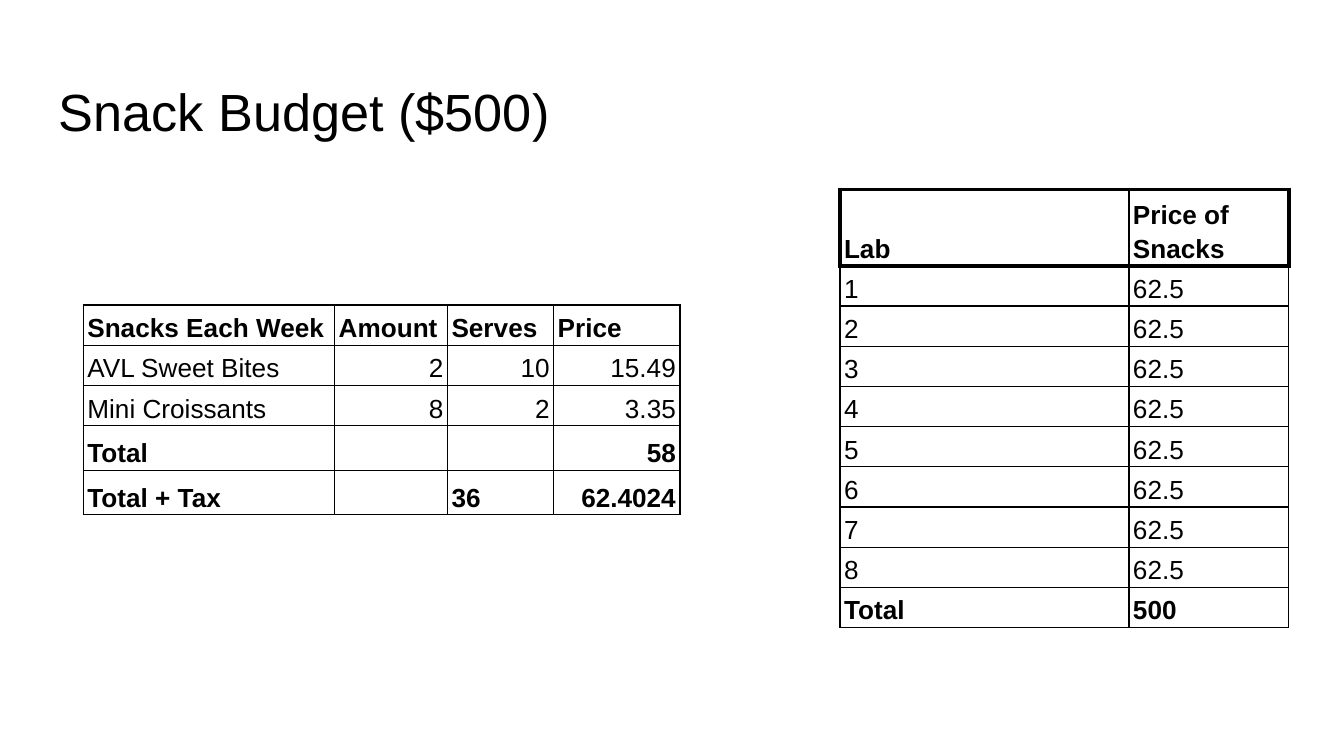
from dataclasses import dataclass

from lxml.etree import SubElement
from pptx import Presentation
from pptx.dml.color import RGBColor
from pptx.enum.text import MSO_ANCHOR, PP_ALIGN
from pptx.oxml.ns import qn
from pptx.util import Inches, Pt

SLIDE_WIDTH = 10
SLIDE_HEIGHT = SLIDE_WIDTH * 9 / 16
INK = "000000"
THIN, THICK = 0.75, 2.25
CELL_FORMAT = {
    "margin_left": Inches(0.03),
    "margin_right": Inches(0.03),
    "margin_top": Inches(1 / 64),
    "margin_bottom": Inches(1 / 64),
    "vertical_anchor": MSO_ANCHOR.BOTTOM,
}


@dataclass
class BudgetTable:
    left: float
    top: float
    column_widths: list[float]
    row_heights: list[float]
    rows: list[list[str]]
    bold_rows: set[int]
    right_aligned: bool = False
    framed_header: bool = False


def apply_format(target, values: dict) -> None:
    for name, value in values.items():
        setattr(target, name, value)


def style_text(run, size: float, bold: bool = False, color: str = INK) -> None:
    apply_format(run.font, {"name": "Arial", "size": Pt(size), "bold": bold})
    run.font.color.rgb = RGBColor.from_string(color)


def draw_borders(cell, widths: dict[str, float], color: str = INK) -> None:
    properties = cell._tc.get_or_add_tcPr()
    for side in "LRTB":
        line = SubElement(properties, qn(f"a:ln{side}"), w=str(Pt(widths[side])))
        fill = SubElement(line, qn("a:solidFill"))
        SubElement(fill, qn("a:srgbClr"), val=color)


def border_widths(budget: BudgetTable, row: int, column: int) -> dict[str, float]:
    widths = dict.fromkeys("LRTB", THIN)
    if budget.framed_header and row == 0:
        widths.update(T=THICK, B=THICK)
        if column == 0:
            widths["L"] = THICK
        if column == len(budget.column_widths) - 1:
            widths["R"] = THICK
    elif budget.framed_header and row == 1:
        widths["T"] = THICK
    return widths


def draw_table(slide, budget: BudgetTable) -> None:
    table = slide.shapes.add_table(
        len(budget.rows), len(budget.column_widths),
        Inches(budget.left), Inches(budget.top),
        Inches(sum(budget.column_widths)), Inches(sum(budget.row_heights)),
    ).table
    apply_format(table, {"first_row": False, "horz_banding": False})
    for column, width in zip(table.columns, budget.column_widths):
        column.width = Inches(width)
    for row, height in zip(table.rows, budget.row_heights):
        row.height = Inches(height)

    for row, values in enumerate(budget.rows):
        for column, value in enumerate(values):
            cell = table.cell(row, column)
            apply_format(cell, CELL_FORMAT)
            draw_borders(cell, border_widths(budget, row, column))
            cell.fill.background()
            if not value:
                continue
            paragraph = cell.text_frame.paragraphs[0]
            run = paragraph.add_run()
            run.text = value
            style_text(run, 14, row in budget.bold_rows)
            # The serving total is the one left-aligned, single-spaced figure
            is_serving_total = value == "36"
            if not is_serving_total:
                paragraph.line_spacing = 1.15
            if budget.right_aligned and row and column and not is_serving_total:
                paragraph.alignment = PP_ALIGN.RIGHT


def draw_title(slide, text: str) -> None:
    frame = slide.shapes.add_textbox(
        Inches(0.34), Inches(0.49), Inches(9.32), Inches(0.63)
    ).text_frame
    margins = ("margin_left", "margin_top", "margin_right", "margin_bottom")
    apply_format(frame, dict.fromkeys(margins, Inches(0.1)))
    frame.word_wrap = True
    run = frame.paragraphs[0].add_run()
    run.text = text
    style_text(run, 28)


LAB_PRICES = BudgetTable(
    left=6.25, top=1.41,
    column_widths=[2.15, 1.19],
    row_heights=[0.23] * 2 + [0.22] * 8,
    rows=[
        ["Lab", "Price of Snacks"],
        *[[str(lab), "62.5"] for lab in range(1, 9)],
        ["Total", "500"],
    ],
    bold_rows={0, 9},
    framed_header=True,
)

WEEKLY_SNACKS = BudgetTable(
    left=0.62, top=2.27,
    column_widths=[1.87, 0.84, 0.79, 0.94],
    row_heights=[0.22] * 5,
    rows=[
        ["Snacks Each Week", "Amount", "Serves", "Price"],
        ["AVL Sweet Bites", "2", "10", "15.49"],
        ["Mini Croissants", "8", "2", "3.35"],
        ["Total", "", "", "58"],
        ["Total + Tax", "", "36", "62.4024"],
    ],
    bold_rows={0, 3, 4},
    right_aligned=True,
)


def main() -> None:
    presentation = Presentation()
    presentation.slide_width = Inches(SLIDE_WIDTH)
    presentation.slide_height = Inches(SLIDE_HEIGHT)
    slide = presentation.slides.add_slide(presentation.slide_layouts[6])

    # Title
    draw_title(slide, "Snack Budget ($500)")

    # Budget per lab and weekly shopping list
    for budget in (LAB_PRICES, WEEKLY_SNACKS):
        draw_table(slide, budget)

    presentation.save("out.pptx")


if __name__ == "__main__":
    main()
